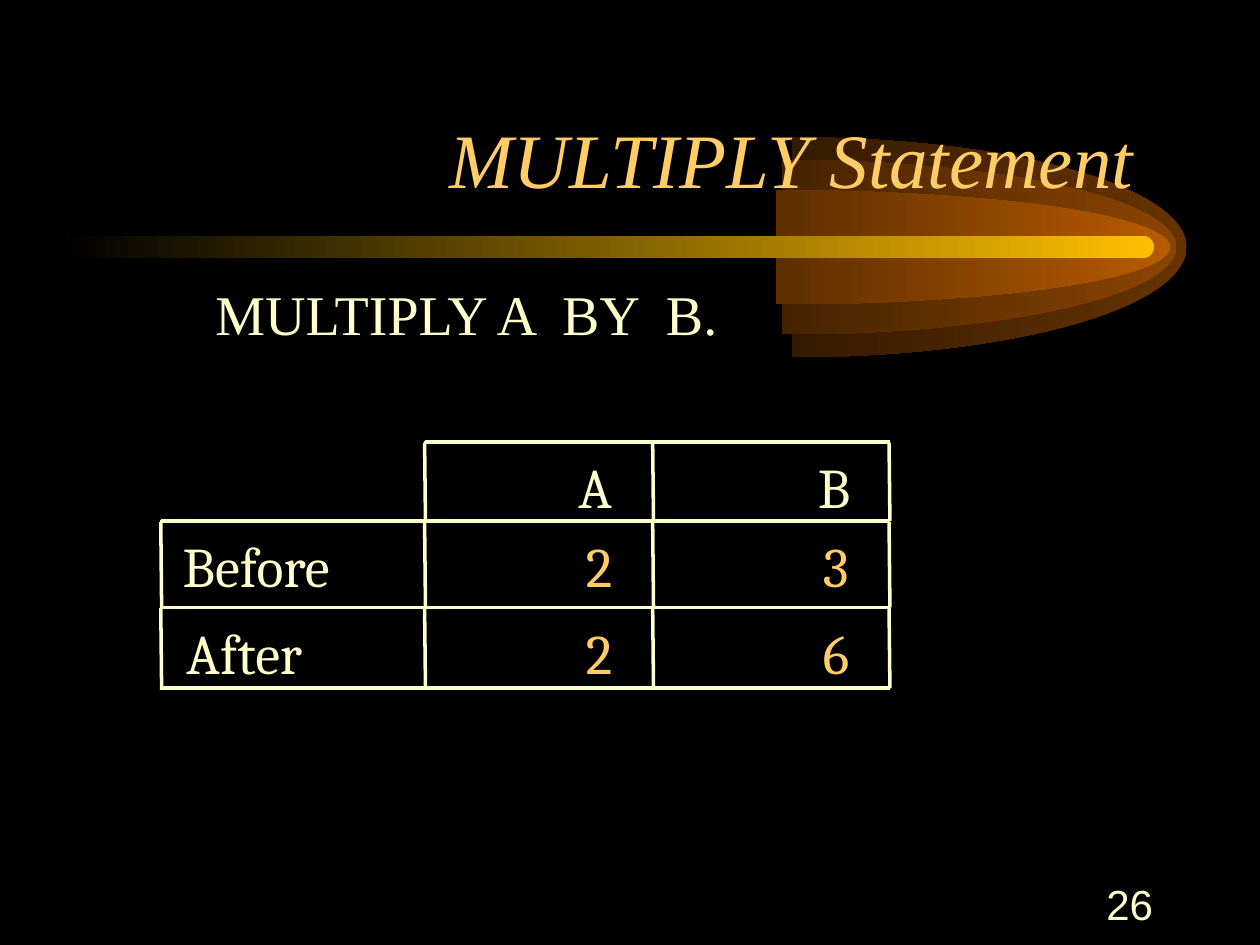
import lxml.etree
import pptx
import pptx.dml.color
import pptx.enum.shapes
import pptx.enum.text
import pptx.oxml.ns
import pptx.util

RGBColor = pptx.dml.color.RGBColor
SHAPE = pptx.enum.shapes.MSO_SHAPE
ALIGN = pptx.enum.text.PP_ALIGN
ANCHOR = pptx.enum.text.MSO_ANCHOR
Pt = pptx.util.Pt

BLACK = RGBColor(0x00, 0x00, 0x00)
CREAM = RGBColor(0xFF, 0xFF, 0xCC)
GOLD = RGBColor(0xFF, 0xCC, 0x66)
YELLOW = RGBColor(0xFF, 0xBF, 0x00)
MAGENTA = RGBColor(0xFF, 0x00, 0xFF)
BROWN = RGBColor(0x66, 0x33, 0x00)
RUST = RGBColor(0x89, 0x44, 0x00)
ORANGE = RGBColor(0xB7, 0x5B, 0x00)

deck = pptx.Presentation()
deck.slide_width = pptx.util.Inches(10)
deck.slide_height = pptx.util.Inches(7.5)
slide = deck.slides.add_slide(deck.slide_layouts[6])
slide.background.fill.solid()
slide.background.fill.fore_color.rgb = BLACK

# The slide is a grid of 100 columns by 75 rows of square units
UNIT = deck.slide_width / 100


def grid(*units):
    return [round(u * UNIT) for u in units]


# Comet: three nested half ellipses and the tail, all fading to the left
comet = [
    (SHAPE.ARC, (31.6, 10.9, 62.6, 17.45), BROWN),
    (SHAPE.ARC, (30.8, 12.7, 62.6, 13.85), RUST),
    (SHAPE.ARC, (30.3, 15.1, 62.6, 9.05), ORANGE),
    (SHAPE.ROUNDED_RECTANGLE, (5, 18.7, 86.6, 1.8), YELLOW),
]
for outline, box, glow in comet:
    part = slide.shapes.add_shape(outline, *grid(*box))
    part.shadow.inherit = False
    if outline == SHAPE.ARC:
        # Degrees from 270 to 90, at 0.6 a degree
        part.adjustments[0], part.adjustments[1] = 270 * 0.6, 90 * 0.6
    else:
        part.adjustments[0] = 0.5
    part.line.fill.background()
    part.fill.gradient()
    part.fill.gradient_angle = 180
    for stop, color in zip(part.fill.gradient_stops, (glow, BLACK)):
        stop.color.rgb = color


def write(box, insets, anchor, align, words, face, size, color, wrap=True):
    frame = slide.shapes.add_textbox(*grid(*box)).text_frame
    frame.word_wrap = wrap
    frame.vertical_anchor = anchor
    frame.margin_left, frame.margin_top = frame.margin_right, frame.margin_bottom = grid(*insets)
    frame.paragraphs[0].alignment = align
    run = frame.paragraphs[0].add_run()
    run.text = words
    run.font.name, run.font.size = face, Pt(size)
    run.font.color.rgb = color
    return run


# Title, statement and slide number
title = write((7.5, 4.2, 85, 12.5), (1, 0.5), ANCHOR.BOTTOM, ALIGN.RIGHT,
              "MULTIPLY Statement ", "Times New Roman", 44, GOLD)
title.font.italic = True
write((11.7, 21.7, 78.3, 45), (5.4, 0.5), ANCHOR.TOP, ALIGN.LEFT,
      "MULTIPLY A  BY  B.", "Times New Roman", 32, CREAM)
write((71.7, 69.2, 20.8, 5), (1, 0.5), ANCHOR.MIDDLE, ALIGN.RIGHT, "26", "Arial", 24, CREAM)

# Values of A and B before and after: left, top, width, text, colour
TOPS = (35.9, 42.2, 49.1)
values = [
    (45.9, TOPS[0], 3.1, "A", CREAM), (64.9, TOPS[0], 2.9, "B", CREAM),
    (14.5, TOPS[1], 14, "Before", CREAM), (14.8, TOPS[2], 10.8, "After", CREAM),
    (46.5, TOPS[1], 2.5, "2", GOLD), (65.3, TOPS[1], 2.5, "3", GOLD),
    (46.5, TOPS[2], 2.5, "2", GOLD), (65.3, TOPS[2], 2.5, "6", GOLD),
]
for left, top, width, words, color in values:
    write((left, top, width, 5.3), (0, 0), ANCHOR.TOP, ALIGN.LEFT, words, "Cambria", 32, color, wrap=False)

# Ruled grid around the values; the corner cell at top left stays open
RULE = 0.07
column_edges = (12.76, 33.7, 51.8, 70.56)
row_edges = (35.07, 41.36, 48.2, 54.6)
bars, strokes = [], []
for r, y in enumerate(row_edges):
    for c, x in enumerate(column_edges):
        if r == c == 0:
            continue
        # Joint where the rules cross
        bars.append((x, y, RULE, RULE))
        strokes.append((x, y, x + RULE, y))
        if r >= 2:
            strokes.append((x, y, x + RULE, y + RULE))
        # Rule to the next column
        if c < 3:
            next_x = column_edges[c + 1]
            bars.append((x + RULE, y, next_x - x - RULE, RULE))
            strokes.append((x + RULE, y, next_x, y))
        # Rule down to the next row
        if r < 3:
            next_y = row_edges[r + 1]
            bars.append((x, y + RULE, RULE, next_y - y - RULE))
            strokes.append((x, y + RULE, x + RULE, next_y))

for box in bars:
    bar = slide.shapes.add_shape(SHAPE.RECTANGLE, *grid(*box))
    bar.shadow.inherit = False
    bar.fill.solid()
    bar.fill.fore_color.rgb = MAGENTA
    bar.line.color.rgb = CREAM
    bar.line.width = Pt(0.75)

for ends in strokes:
    stroke = slide.shapes.add_connector(pptx.enum.shapes.MSO_CONNECTOR.STRAIGHT, *grid(*ends))
    stroke.line.color.rgb = CREAM
    stroke.line.width = Pt(0)
    lxml.etree.SubElement(stroke._element.spPr, pptx.oxml.ns.qn("a:effectLst"))

deck.save("out.pptx")
